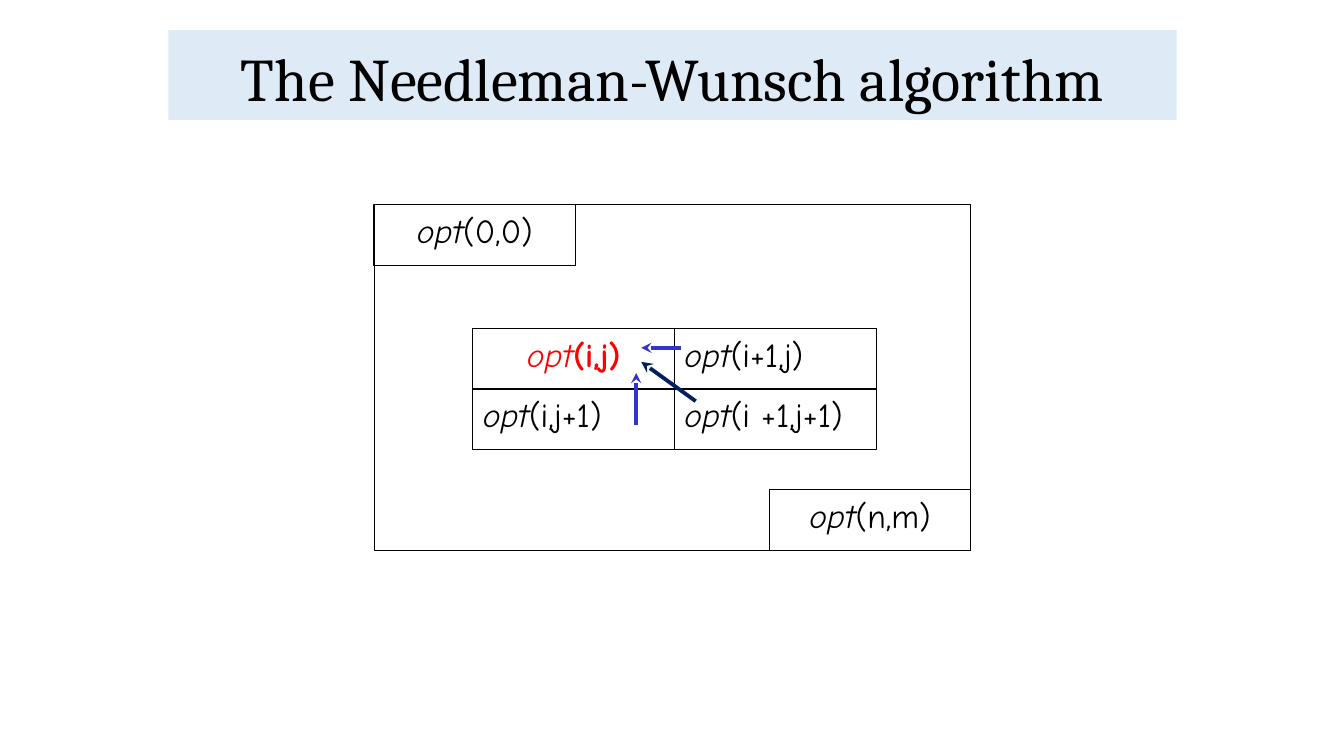
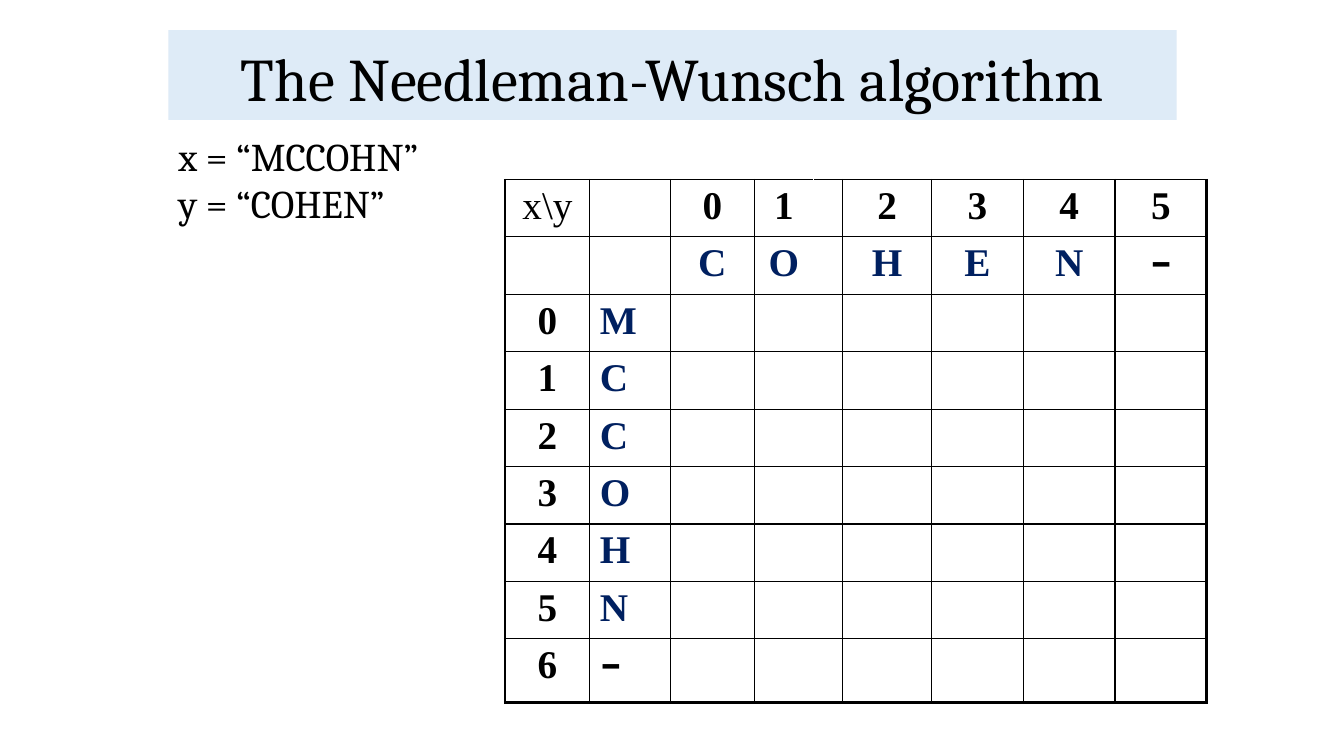
from lxml import etree
from pptx import Presentation
from pptx.dml.color import RGBColor
from pptx.enum.shapes import MSO_CONNECTOR, MSO_SHAPE
from pptx.enum.text import MSO_ANCHOR, PP_ALIGN
from pptx.oxml.ns import qn
from pptx.util import Inches, Pt

RECT = MSO_SHAPE.RECTANGLE
LINE = MSO_CONNECTOR.STRAIGHT
LEFT, CENTER = PP_ALIGN.LEFT, PP_ALIGN.CENTER
BOTTOM = MSO_ANCHOR.BOTTOM

BLACK, WHITE, RED = "000000", "FFFFFF", "FF0000"
NAVY, BLUE, BAND = "002060", "3333CC", "DEEBF7"
SERIF, HAND, TABLE, DASH = "Cambria", "Comic Neue", "Times New Roman", "Roboto"
TITLE = "The Needleman-Wunsch algorithm"


def rgb(code):
    return RGBColor.from_string(code)


def style(run, face, size, color, bold=False, italic=False):
    font = run.font
    font.name, font.size = face, Pt(size)
    font.bold, font.italic = bold, italic
    font.color.rgb = rgb(color)


deck = Presentation()
deck.slide_width, deck.slide_height = Inches(13.33), Inches(7.5)
blank = deck.slide_layouts[6]

# Both slides carry the same title band.
slides = [deck.slides.add_slide(blank) for _ in range(2)]
band_x, band_w = 1.67, 10
for slide in slides:
    band = slide.shapes.add_shape(
        RECT, Inches(band_x), Inches(0.3), Inches(band_w), Inches(0.89))
    band.shadow.inherit = False
    band.fill.solid()
    band.fill.fore_color.rgb = rgb(BAND)
    band.line.fill.background()
    frame = band.text_frame
    frame.text = TITLE
    frame.vertical_anchor = BOTTOM
    para = frame.paragraphs[0]
    para.alignment = CENTER
    para.line_spacing = 0.9
    style(para.runs[0], SERIF, 43.2, BLACK)

# Slide 1: the matrix, its corner cells and four neighbours in the middle.
left, top, width, height = 3.71, 2.03, 5.92, 3.43
cell_w, cell_h = 2, 0.6
mid_x, mid_y = 4.69, 3.26
next_x, next_y = mid_x + cell_w, mid_y + cell_h
end_x, end_y = left + width - cell_w, top + height - cell_h

boxes = [
    (left, top, width, height, "", LEFT, BLACK),
    (left, top, cell_w, cell_h, "(0,0)", CENTER, BLACK),
    (end_x, end_y, cell_w, cell_h, "(n,m)", CENTER, BLACK),
    (mid_x, mid_y, cell_w, cell_h, "(i,j)", CENTER, RED),
    (next_x, mid_y, cell_w, cell_h, "(i+1,j)", LEFT, BLACK),
    (mid_x, next_y, cell_w, cell_h, "(i,j+1)", LEFT, BLACK),
    (next_x, next_y, cell_w, cell_h, "(i +1,j+1)", LEFT, BLACK),
]
group = slides[0].shapes.add_group_shape()
for x, y, w, h, index, align, color in boxes:
    box = group.shapes.add_shape(RECT, Inches(x), Inches(y), Inches(w), Inches(h))
    box.shadow.inherit = False
    box.fill.background()
    box.line.color.rgb = rgb(BLACK)
    box.line.width = Pt(0.75)
    if not index:
        continue
    frame = box.text_frame
    frame.vertical_anchor = MSO_ANCHOR.TOP
    para = frame.paragraphs[0]
    para.alignment = align
    for part in ("opt", index):
        run = para.add_run()
        run.text = part
        name = part == "opt"
        style(run, HAND, 24, color, bold=color == RED and not name, italic=name)

# Each arrow runs from a neighbour to opt(i,j).
arrows = [
    (6.9, 3.98, 6.36, 3.59, NAVY, 2.75),
    (6.31, 4.22, 6.31, 3.7, BLUE, 2.5),
    (6.75, 3.45, 6.36, 3.45, BLUE, 2.5),
]
for x1, y1, x2, y2, color, weight in arrows:
    arrow = group.shapes.add_connector(
        LINE, Inches(x1), Inches(y1), Inches(x2), Inches(y2))
    arrow.line.color.rgb = rgb(color)
    arrow.line.width = Pt(weight)
    etree.SubElement(arrow.line._get_or_add_ln(), qn("a:tailEnd"), type="stealth")
    etree.SubElement(arrow._element.spPr, qn("a:effectLst"))

# Slide 2: the two words and the empty score table.
note = slides[1].shapes.add_textbox(
    Inches(band_x), Inches(1.26), Inches(band_w), Inches(1.03))
note.text_frame.word_wrap = True
note.text_frame.text = "x = “MCCOHN”\ny = “COHEN”"
for para in note.text_frame.paragraphs:
    style(para.runs[0], SERIF, 28, BLACK)

cols = [0.84, 0.8, 0.83, 0.59, 0.29, 0.88, 0.91, 0.91, 0.91]
rows = [0.57] * 8 + [0.63]
slots = [2, 3, 5, 6, 7, 8]  # columns of the letters of y
split = 3                   # column 3 joins column 4 without a visible edge
last_row, last_col = len(rows) - 1, len(cols) - 1

texts = {(0, 0): "x\\y"}
for i, (col, letter) in enumerate(zip(slots, "COHEN−")):
    texts[0, col], texts[1, col] = str(i), letter
for i, letter in enumerate("MCCOHN−"):
    texts[i + 2, 0], texts[i + 2, 1] = str(i), letter

grid = slides[1].shapes.add_table(
    len(rows), len(cols), Inches(5.01), Inches(1.78),
    Inches(sum(cols)), Inches(sum(rows))).table
grid.first_row = grid.horz_banding = False
for col, w in zip(grid.columns, cols):
    col.width = Inches(w)
for row, h in zip(grid.rows, rows):
    row.height = Inches(h)

for r in range(len(rows)):
    for c in range(len(cols)):
        cell = grid.cell(r, c)
        props = cell._tc.get_or_add_tcPr()
        inner = r < 3
        edges = [
            ("L", c == 0, inner and c == split + 1),
            ("R", c == last_col, inner and c == split),
            ("T", False, False),
            ("B", r == last_row, False),
        ]
        for side, thick, pale in edges:
            edge = etree.SubElement(
                props, qn("a:ln" + side), w=str(Pt(2.25 if thick else 1)))
            fill = etree.SubElement(edge, qn("a:solidFill"))
            etree.SubElement(fill, qn("a:srgbClr"), val=WHITE if pale else BLACK)
        cell.fill.background()
        text = texts.get((r, c))
        if text:
            cell.text = text
            para = cell.text_frame.paragraphs[0]
            para.alignment = LEFT if c == 1 else CENTER
            face = DASH if text == "−" else TABLE
            color = NAVY if text.isalpha() else BLACK
            style(para.runs[0], face, 28, color, bold=(r, c) != (0, 0))

for r in range(3, len(rows)):
    grid.cell(r, split).merge(grid.cell(r, split + 1))

deck.save("out.pptx")
